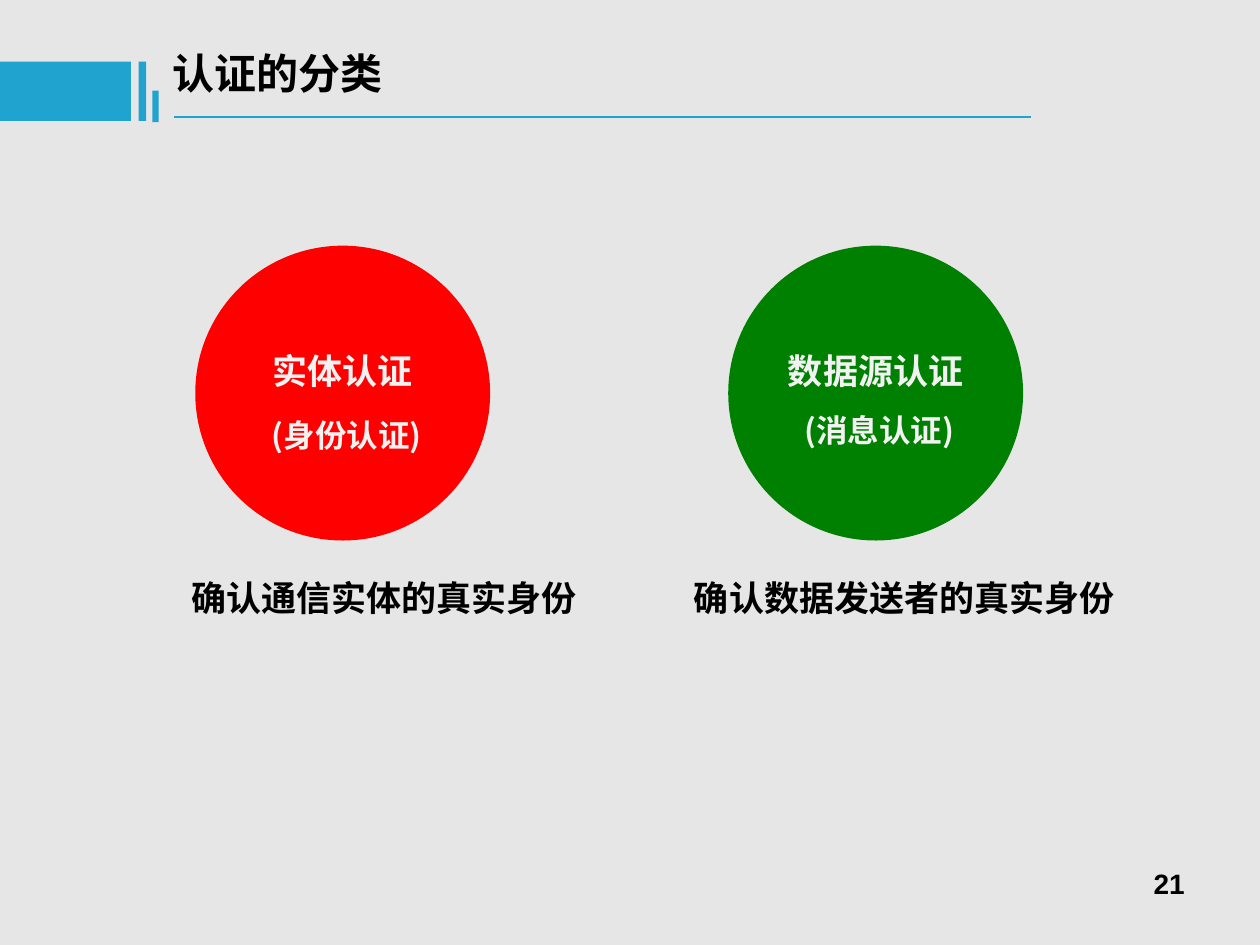
from lxml.etree import SubElement
from pptx import Presentation
from pptx.dml.color import RGBColor
from pptx.enum.shapes import MSO_CONNECTOR, MSO_SHAPE
from pptx.enum.text import PP_ALIGN
from pptx.oxml.ns import qn
from pptx.util import Inches, Pt

COLORS = {"background": "E7E6E6", "accent": "21A3D0", "red": "FF0000",
          "green": "008000", "light": "F2F2F2", "black": "000000"}
CHINESE, LATIN = "Noto Sans CJK SC", "Arial"

TITLE = "认证的分类"
PAGE_NUMBER = "21"
# Each paragraph is a list of (text, size) runs.
CATEGORIES = [
    {"color": "red", "label_width": 1.5,
     "label": [[("实体认证", 20)], [(" ", 20), ("(身份认证)", 18)]],
     "caption": "确认通信实体的真实身份", "caption_left": 1.42, "caption_width": 3.26},
    {"color": "green", "label_width": 1.9,
     "label": [[("数据源认证", 20)], [(" (消息认证)", 18)]],
     "caption": "确认数据发送者的真实身份", "caption_left": 5.41, "caption_width": 3.54},
]
TITLE_BARS = [(0, 0.49, 1.04, 0.47), (1.1, 0.49, 0.06, 0.47), (1.21, 0.72, 0.05, 0.25)]

WIDTH, HEIGHT = 10, 7.5
DIAMETER = 2.34
CIRCLE_LEFT, CIRCLE_TOP, CIRCLE_STEP = 1.55, 1.95, 4.23
LABEL_TOP, LABEL_HEIGHT = 2.56, 1.1
CAPTION_TOP, CAPTION_HEIGHT = 4.53, 0.44


def color(name):
    return RGBColor.from_string(COLORS[name])


def add_filled(shapes, kind, box, fill):
    shape = shapes.add_shape(kind, *map(Inches, box))
    shape.shadow.inherit = False
    shape.fill.solid()
    shape.fill.fore_color.rgb = color(fill)
    shape.line.fill.background()


def add_text(shapes, box, paragraphs, ink="black", font=CHINESE,
             align=PP_ALIGN.LEFT, spacing=None, wrap=True):
    frame = shapes.add_textbox(*map(Inches, box)).text_frame
    frame.word_wrap = wrap
    for index, runs in enumerate(paragraphs):
        paragraph = frame.add_paragraph() if index else frame.paragraphs[0]
        paragraph.alignment = align
        paragraph.line_spacing = spacing
        for text, size in runs:
            run = paragraph.add_run()
            run.text = text
            run.font.size = Pt(size)
            run.font.bold = True
            run.font.name = font
            run.font.color.rgb = color(ink)
            # East Asian characters take their typeface from a:ea.
            SubElement(run.font._element, qn("a:ea"), typeface=font)


def add_title(slide):
    shapes = slide.shapes.add_group_shape().shapes
    add_text(shapes, (1.27, 0.33, 4.55, 0.5), [[(TITLE, 24)]])
    for bar in TITLE_BARS:
        add_filled(shapes, MSO_SHAPE.RECTANGLE, bar, "accent")
    rule = shapes.add_connector(MSO_CONNECTOR.STRAIGHT, Inches(1.38), Inches(0.93),
                                Inches(8.18), Inches(0.93))
    rule.line.color.rgb = color("accent")
    rule.line.width = Pt(1.5)
    SubElement(rule._element.spPr, qn("a:effectLst"))


def add_category(slide, index, category):
    left = CIRCLE_LEFT + index * CIRCLE_STEP
    shapes = slide.shapes.add_group_shape().shapes
    add_filled(shapes, MSO_SHAPE.OVAL, (left, CIRCLE_TOP, DIAMETER, DIAMETER),
               category["color"])
    label_width = category["label_width"]
    label_left = left + (DIAMETER - label_width) / 2
    add_text(shapes, (label_left, LABEL_TOP, label_width, LABEL_HEIGHT),
             category["label"], ink="light", align=PP_ALIGN.CENTER, spacing=1.5)
    add_text(slide.shapes,
             (category["caption_left"], CAPTION_TOP, category["caption_width"], CAPTION_HEIGHT),
             [[(category["caption"], 20)]], wrap=False)


def main():
    presentation = Presentation()
    presentation.slide_width, presentation.slide_height = Inches(WIDTH), Inches(HEIGHT)
    slide = presentation.slides.add_slide(presentation.slide_layouts[6])
    slide.background.fill.solid()
    slide.background.fill.fore_color.rgb = color("background")
    add_text(slide.shapes, (7.17, 6.83, 2.33, 0.52), [[(PAGE_NUMBER, 16)]],
             font=LATIN, align=PP_ALIGN.RIGHT)
    add_title(slide)
    for index, category in enumerate(CATEGORIES):
        add_category(slide, index, category)
    presentation.save("out.pptx")


if __name__ == "__main__":
    main()
